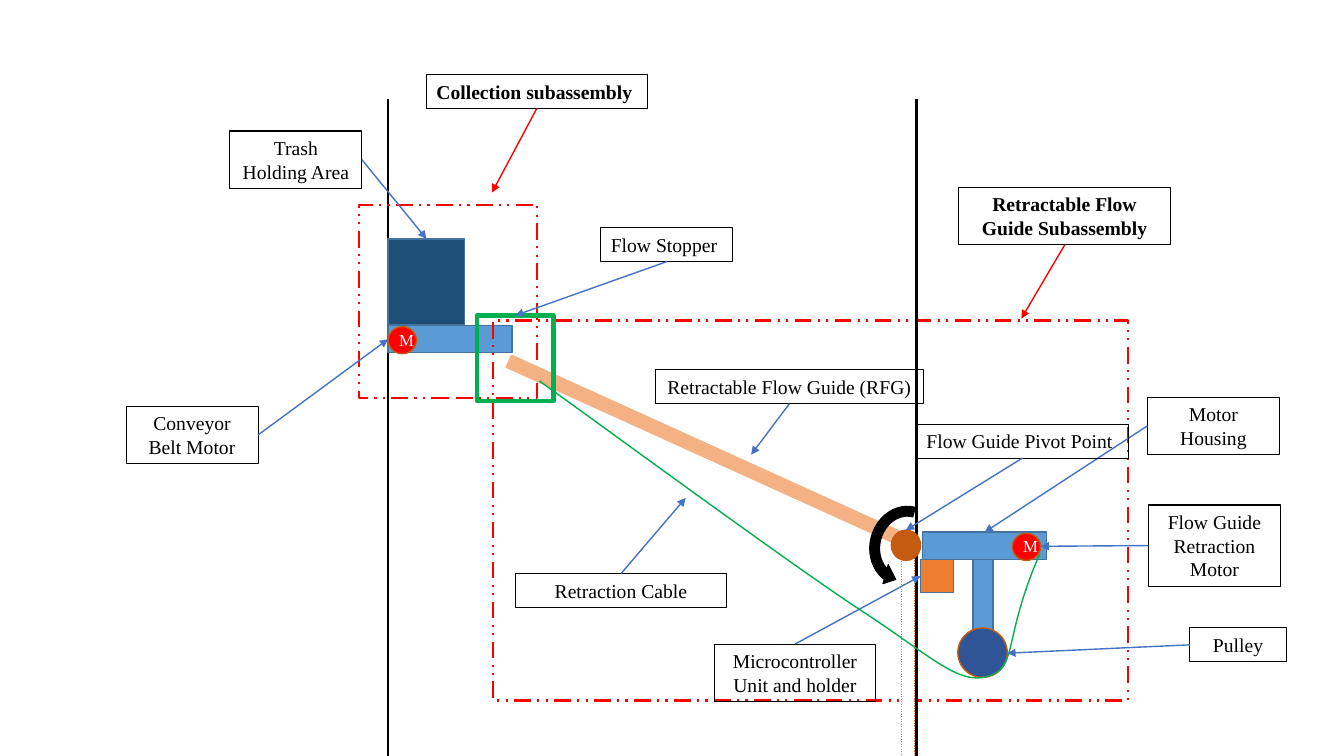
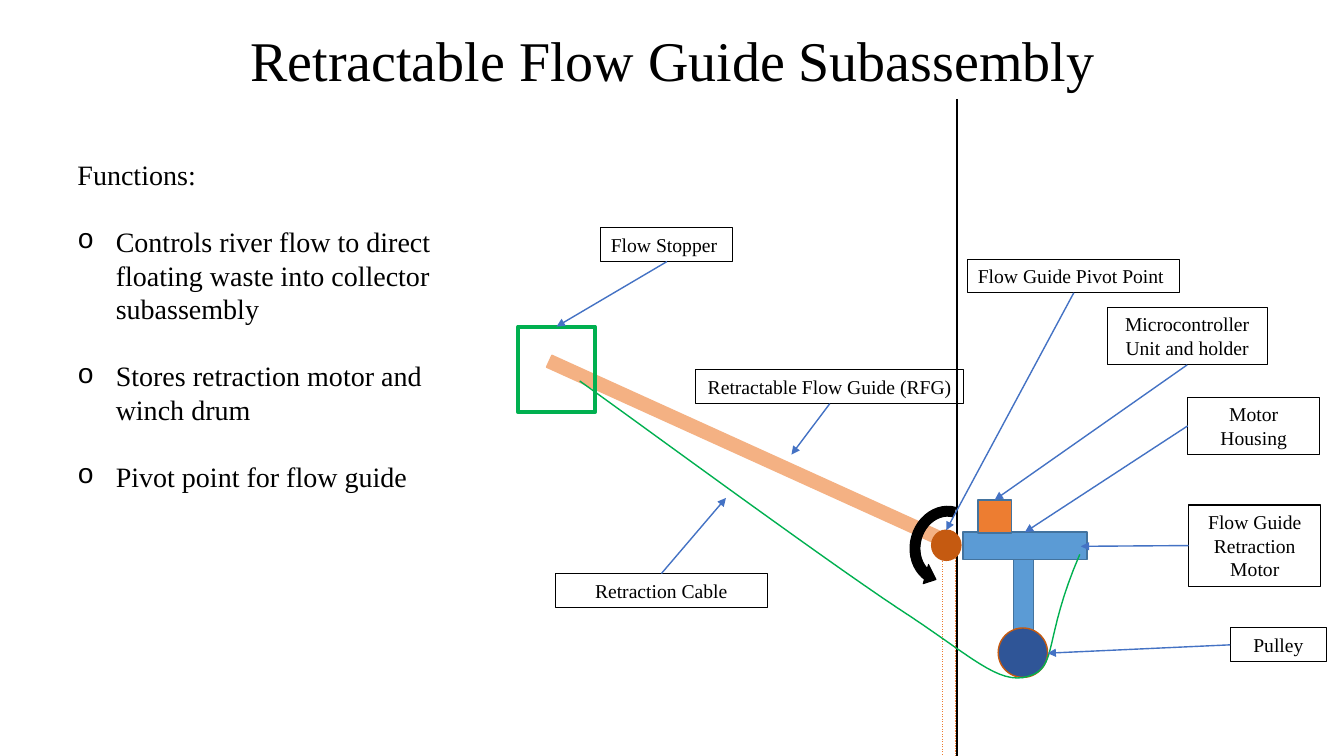
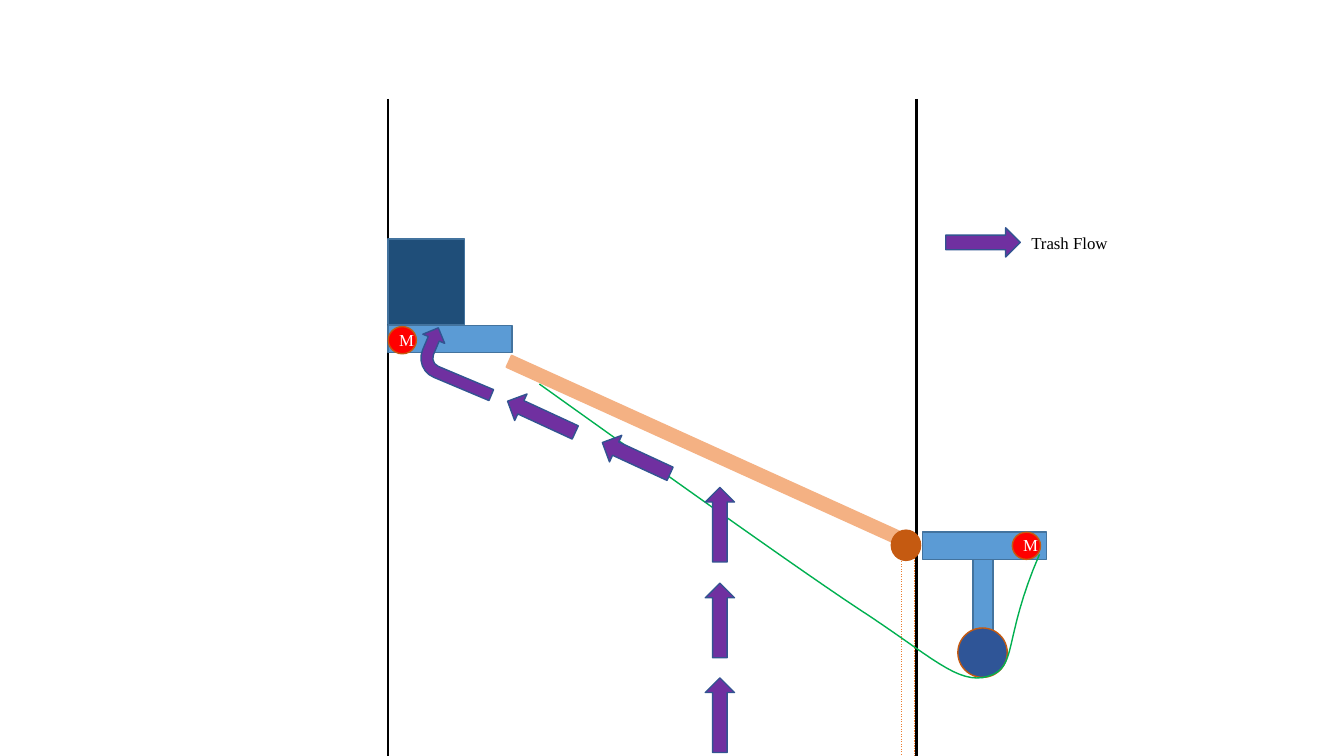
from lxml import etree
from pptx import Presentation
from pptx.dml.color import RGBColor
from pptx.enum import dml, shapes, text
from pptx.oxml import ns
from pptx.util import Inches, Pt

FONT = "Times New Roman"
BLACK = RGBColor(0x00, 0x00, 0x00)
WHITE = RGBColor(0xFF, 0xFF, 0xFF)
RED = RGBColor(0xFF, 0x00, 0x00)
GREEN = RGBColor(0x00, 0xB0, 0x50)
PURPLE = RGBColor(0x70, 0x30, 0xA0)
PURPLE_EDGE = RGBColor(0x32, 0x54, 0x91)
POINTER_BLUE = RGBColor(0x44, 0x72, 0xC4)
STEEL = RGBColor(0x5B, 0x9B, 0xD5)
STEEL_EDGE = RGBColor(0x43, 0x73, 0x9E)
NAVY = RGBColor(0x1F, 0x4E, 0x79)
PULLEY_BLUE = RGBColor(0x2F, 0x55, 0x97)
ORANGE = RGBColor(0xED, 0x7D, 0x31)
RUST = RGBColor(0xC5, 0x5A, 0x11)
SAND = RGBColor(0xF4, 0xB1, 0x83)

KIND = shapes.MSO_SHAPE
DASH = dml.MSO_LINE
ALIGN = text.PP_ALIGN
TOP, LEFT, BOTTOM, RIGHT = range(4)
NARROW, WIDE = 1.31, 2.1
GUIDE_SHIFT = 0.4


def bezier(start, first, second, end, steps=16):
    """Points on a cubic curve, without its start."""
    for step in range(1, steps + 1):
        t = step / steps
        weights = ((1 - t) ** 3, 3 * t * (1 - t) ** 2, 3 * t * t * (1 - t), t ** 3)
        yield tuple(sum(w * p[axis] for w, p in zip(weights, (start, first, second, end)))
                    for axis in (0, 1))


class Drawing:
    def __init__(self):
        self.deck = Presentation()
        self.deck.slide_width = Inches(13.33)
        self.deck.slide_height = Inches(7.5)
        self.page = None

    def new_page(self):
        self.page = self.deck.slides.add_slide(self.deck.slide_layouts[6])

    def shape(self, kind, left, top, width, height, fill=None, edge=BLACK,
              weight=1, dash=None, turn=0):
        shape = self.page.shapes.add_shape(
            kind, Inches(left), Inches(top), Inches(width), Inches(height))
        shape.shadow.inherit = False
        shape.rotation = turn
        if fill is None:
            shape.fill.background()
        else:
            shape.fill.solid()
            shape.fill.fore_color.rgb = fill
        shape.line.color.rgb = edge
        shape.line.width = Pt(weight)
        if dash:
            shape.line.dash_style = dash
        return shape

    def rect(self, *place, **style):
        return self.shape(KIND.RECTANGLE, *place, **style)

    def ellipse(self, *place, **style):
        return self.shape(KIND.OVAL, *place, **style)

    def steel(self, *place):
        return self.rect(*place, fill=STEEL, edge=STEEL_EDGE)

    def text(self, words, left, top, width, height, size=14, color=BLACK,
             align=ALIGN.CENTER, bold=False):
        box = self.page.shapes.add_textbox(
            Inches(left), Inches(top), Inches(width), Inches(height))
        box.text_frame.word_wrap = True
        para = box.text_frame.paragraphs[0]
        para.text = words
        para.alignment = align
        self.style(para, size, color, bold)
        return box

    def style(self, para, size, color=BLACK, bold=False):
        para.font.name = FONT
        para.font.size = Pt(size)
        para.font.color.rgb = color
        para.font.bold = bold

    def title(self, words):
        box = self.text(words, 0.92, 0, 11.5, 1.25, size=40)
        box.text_frame.vertical_anchor = text.MSO_ANCHOR.MIDDLE
        box.text_frame.paragraphs[0].line_spacing = 0.9

    def bullets(self, heading, items, left, top, width, height):
        frame = self.text(heading, left, top, width, height, size=20,
                          align=ALIGN.LEFT).text_frame
        for item in items:
            para = frame.add_paragraph()
            para.text = item
            props = para._p.get_or_add_pPr()
            props.set("marL", str(Inches(0.38)))
            props.set("indent", str(-Inches(0.38)))
            etree.SubElement(props, ns.qn("a:buFont")).set("typeface", "Courier New")
            etree.SubElement(props, ns.qn("a:buChar")).set("char", "o")
            para.space_before = Pt(24)
            self.style(para, 20)

    def label(self, words, left, top, width, rows=1, **style):
        """Outlined caption that is as high as its rows of text."""
        box = self.text(words, left, top, width, 0.1 + 0.235 * rows, **style)
        box.text_frame.auto_size = text.MSO_AUTO_SIZE.SHAPE_TO_FIT_TEXT
        box.line.color.rgb = BLACK
        box.line.width = Pt(0.75)
        return box

    def line(self, start, end, color, weight):
        line = self.page.shapes.add_connector(
            shapes.MSO_CONNECTOR.STRAIGHT, *map(Inches, start + end))
        line.line.color.rgb = color
        line.line.width = Pt(weight)
        etree.SubElement(line.element.spPr, ns.qn("a:effectLst"))
        return line

    def pointer(self, label, side, target, target_side=None, color=POINTER_BLUE):
        """Arrow from a label's side to a point, or to a side of a shape."""
        joined = target_side is not None
        line = self.line((0, 0), (0, 0) if joined else target, color, 1)
        line.begin_connect(label, side)
        if joined:
            line.end_connect(target, target_side)
        outline = line.element.spPr.find(ns.qn("a:ln"))
        etree.SubElement(outline, ns.qn("a:tailEnd")).set("type", "triangle")

    def bank(self, x):
        self.line((x, 0.98), (x, 7.5), BLACK, 1.5)

    def motor(self, left, top):
        self.ellipse(left, top, 0.28, 0.27, fill=RED, edge=RUST)
        self.text("M", left + 0.01, top - 0.02, 0.26, 0.3, size=12, color=WHITE)

    def zone(self, *place):
        self.rect(*place, edge=RED, weight=1.5, dash=DASH.DASH_DOT_DOT)

    def flow_arrow(self, left, top, turn=0):
        self.shape(KIND.RIGHT_ARROW, left, top, 0.74, 0.29,
                   fill=PURPLE, edge=PURPLE_EDGE, turn=turn)

    def cable(self, dx, end_y):
        nodes = [(10.31, 5.5), (9.94, 6.36), (10.1, 6.62), (9.8, 6.71),
                 (9.5, 6.8), (9.24, 6.51), (8.5, 6.03),
                 (7.76, 5.54), (5.87, end_y + 0.37), (5.35, end_y)]
        points = [nodes[0]]
        for first in range(0, 9, 3):
            points.extend(bezier(*nodes[first:first + 4]))
        points = [(Inches(x + dx), Inches(y)) for x, y in points]
        builder = self.page.shapes.build_freeform(*points[0], scale=1)
        builder.add_line_segments(points[1:], close=False)
        curve = builder.convert_to_shape()
        curve.shadow.inherit = False
        curve.fill.background()
        curve.line.color.rgb = GREEN
        curve.line.width = Pt(1)

    def collector(self):
        """Left bank with belt, motor and holding area."""
        self.bank(3.85)
        belt = self.steel(3.85, 3.23, 1.23, 0.27)
        self.motor(3.85, 3.24)
        holder = self.rect(3.85, 2.37, 0.76, 0.85, fill=NAVY, edge=STEEL_EDGE)
        return belt, holder

    def flow_guide(self, dx=0, cable_end=3.78):
        """Right bank with guide, pivot, housing, pulley and cable."""
        self.steel(9.65 + dx, 5.31, 0.2, 1.21)
        self.bank(9.09 + dx)
        self.rect(4.85 + dx, 4.43, 4.41, 0.13, fill=SAND, edge=SAND, turn=24.4)
        self.rect(8.94 + dx, 5.46, 0.13, 2.04, fill=WHITE, edge=ORANGE,
                  weight=0.25, dash=DASH.DASH)
        pivot = self.ellipse(8.84 + dx, 5.26, 0.29, 0.3, fill=RUST, edge=RUST)
        housing = self.steel(9.15 + dx, 5.28, 1.23, 0.27)
        self.ellipse(9.5 + dx, 6.23, 0.49, 0.49, fill=PULLEY_BLUE, edge=RUST)
        self.cable(dx, cable_end)
        return pivot, housing

    def labelled_guide(self, dx, pivot_label, unit, unit_side,
                       unit_label, unit_label_side, stopper):
        """Flow guide with captions; the places are left-top pairs."""
        pivot, housing = self.flow_guide(dx)
        turn_arrow = self.shape(KIND.CIRCULAR_ARROW, 8.53 + dx, 5.02, 0.89, 0.79,
                                fill=BLACK, weight=0.75, turn=105.3)
        turn_arrow.element.spPr.get_or_add_xfrm().set("flipV", "1")

        for words, left, top, width, rows, side, point in (
                ("Retraction Cable", 5.11, 5.69, WIDE, 1, TOP, (6.8, 4.94)),
                ("Retractable Flow Guide (RFG)", 6.5, 3.67, 2.66, 1, BOTTOM, (7.45, 4.51)),
                ("Flow Guide Retraction Motor", 11.39, 5.01, NARROW, 3, LEFT, (10.32, 5.42)),
                ("Pulley", 11.8, 6.23, 0.96, 1, LEFT, (9.99, 6.48))):
            label = self.label(words, left + dx, top, width, rows)
            self.pointer(label, side, (point[0] + dx, point[1]))

        label = self.label("Motor Housing", 11.38 + dx, 3.94, NARROW, 2)
        self.pointer(label, LEFT, housing, TOP)
        label = self.label("Flow Guide Pivot Point", *pivot_label, WIDE, align=ALIGN.LEFT)
        self.pointer(label, BOTTOM, pivot, TOP)
        holder = self.rect(*unit, 0.33, 0.33, fill=ORANGE, edge=STEEL_EDGE)
        label = self.label("Microcontroller Unit and holder", *unit_label, 1.59, 2)
        self.pointer(label, unit_label_side, holder, unit_side)
        frame = self.rect(*stopper, 0.76, 0.85, edge=GREEN, weight=3)
        label = self.label("Flow Stopper", 5.96, 2.26, NARROW, align=ALIGN.LEFT)
        self.pointer(label, BOTTOM, frame, TOP)


def overview(draw):
    draw.new_page()
    belt, holder = draw.collector()
    draw.zone(3.56, 2.03, 1.77, 1.92)
    draw.zone(4.89, 3.18, 6.3, 3.77)
    draw.labelled_guide(0, pivot_label=(9.09, 4.21), unit=(9.13, 5.55), unit_side=LEFT,
                        unit_label=(7.09, 6.39), unit_label_side=TOP, stopper=(4.73, 3.13))
    draw.motor(10.04, 5.29)
    label = draw.label("Conveyor Belt Motor", 1.25, 4.03, NARROW, 2)
    draw.pointer(label, RIGHT, belt, LEFT)
    label = draw.label("Trash Holding Area", 2.28, 1.3, NARROW, 2)
    draw.pointer(label, RIGHT, holder, TOP)
    label = draw.label("Collection subassembly", 4.23, 0.74, 2.19,
                       align=ALIGN.LEFT, bold=True)
    draw.pointer(label, BOTTOM, (4.88, 1.91), color=RED)
    label = draw.label("Retractable Flow Guide Subassembly", 9.51, 1.86, WIDE, 2, bold=True)
    draw.pointer(label, BOTTOM, (10.13, 3.16), color=RED)


def guide_detail(draw):
    draw.new_page()
    draw.title("Retractable Flow Guide Subassembly")
    draw.labelled_guide(GUIDE_SHIFT, pivot_label=(9.6, 2.57), unit=(9.7, 4.96), unit_side=TOP,
                        unit_label=(10.98, 3.05), unit_label_side=BOTTOM, stopper=(5.14, 3.24))
    draw.bullets("Functions:", (
        "Controls river flow to direct floating waste into collector subassembly",
        "Stores retraction motor and winch drum",
        "Pivot point for flow guide"), 0.67, 1.51, 4.14, 4.48)


def trash_flow(draw):
    draw.new_page()
    draw.collector()
    draw.flow_guide(cable_end=3.81)
    draw.motor(10.04, 5.28)
    for top in (6.95, 6.01, 5.06):
        draw.flow_arrow(6.77, top, 270)
    for left, top in ((5.94, 4.4), (5, 3.99)):
        draw.flow_arrow(left, top, 204.8)
    draw.shape(KIND.BENT_ARROW, 4.31, 3.16, 0.47, 0.86,
               fill=PURPLE, edge=PURPLE_EDGE, turn=292.8)
    draw.flow_arrow(9.38, 2.26)
    draw.text("Trash Flow", 10.13, 2.26, 1.81, 0.3, size=12, align=ALIGN.LEFT)


def main():
    draw = Drawing()
    overview(draw)
    guide_detail(draw)
    trash_flow(draw)
    draw.deck.save("out.pptx")


if __name__ == "__main__":
    main()
